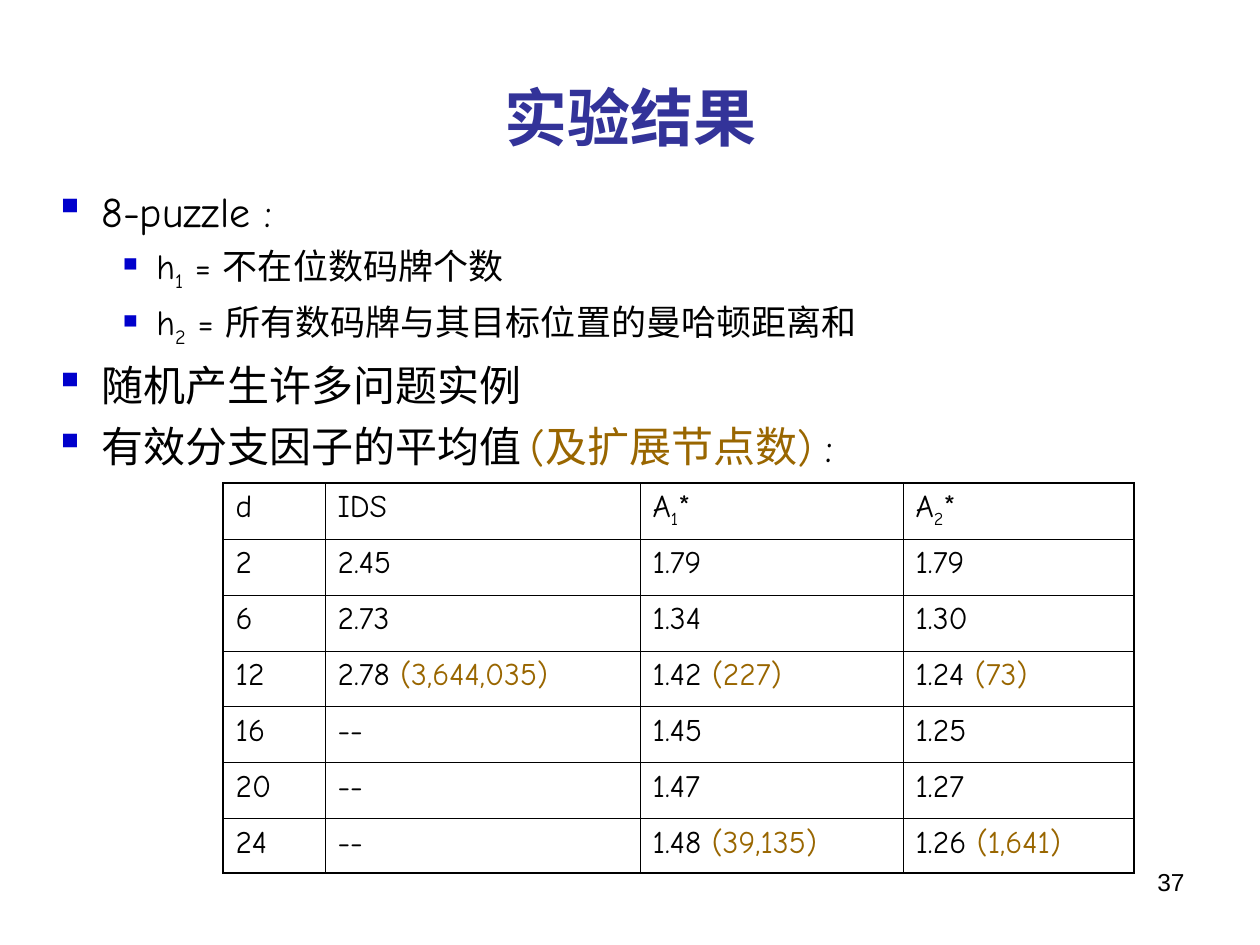
"""Build the slide of search results for the 8-puzzle."""
from typing import NamedTuple

from lxml import etree
from pptx import Presentation, util as u
from pptx.dml.color import RGBColor
from pptx.enum import text as t
from pptx.oxml import ns

HUES = {"ink": "000000", "title": "333399", "mark": "0000CC", "gold": "996600"}
FACE = "Comic Neue"
WIDE, THIN = u.Pt(1.08), u.Pt(0.45)


class Bit(NamedTuple):
    text: str
    hue: str = "ink"
    base: int = 0


class Item(NamedTuple):
    bits: list[Bit]
    level: int = 0


class Rank(NamedTuple):
    size: int
    left: int
    hang: int
    gap: int


RANKS = [Rank(24, 47, 47, 6), Rank(20, 102, 39, 5)]
ITEMS = [
    Item([Bit("8-puzzle :")]),
    Item([Bit("h"), Bit("1", base=-25), Bit(" = 不在位数码牌个数")], 1),
    Item([Bit("h"), Bit("2", base=-25), Bit(" = 所有数码牌与其目标位置的曼哈顿距离和")], 1),
    Item([Bit("随机产生许多问题实例")]),
    Item([Bit("有效分支因子的平均值 "), Bit("(及扩展节点数)", "gold"), Bit(" :")]),
]
HEAD = [[Bit("d")], [Bit("IDS")]] + [
    [Bit("A"), Bit(n, base=-25), Bit("*")] for n in "12"]
DATA = [
    ("2", "2.45", "1.79", "1.79"),
    ("6", "2.73", "1.34", "1.30"),
    ("12", "2.78 (3,644,035)", "1.42 (227)", "1.24 (73)"),
    ("16", "--", "1.45", "1.25"),
    ("20", "--", "1.47", "1.27"),
    ("24", "--", "1.48 (39,135)", "1.26 (1,641)"),
]
COLS = [102, 315, 263, 231]
ROWS = [56] * 6 + [54]


def px(n: int) -> int:
    return round(n * u.Inches(1) / 126)


def box(*sides: int) -> list[int]:
    return [px(n) for n in sides]


def node(host, tag: str, **attrs: str):
    return etree.SubElement(host, ns.qn(tag), attrs)


def write(par, bits: list[Bit], size: int, face: str = FACE, bold: bool = False) -> None:
    for bit in bits:
        run = par.add_run()
        run.text = bit.text
        look = {"name": face, "size": u.Pt(size), "bold": bold}
        for key, val in look.items():
            setattr(run.font, key, val)
        run.font.color.rgb = RGBColor.from_string(HUES[bit.hue])
        if bit.base:
            run.font._element.set("baseline", str(bit.base * 1000))


def bullet(par, item: Item, first: bool) -> None:
    rank = RANKS[item.level]
    par.level = item.level
    if not first:
        par.space_before = u.Pt(rank.gap)
    prop = par._p.get_or_add_pPr()
    prop.set("marL", str(px(rank.left)))
    prop.set("indent", str(-px(rank.hang)))
    node(node(prop, "a:buClr"), "a:srgbClr", val=HUES["mark"])
    node(prop, "a:buChar", char="▪")
    write(par, item.bits, rank.size)


def split(text: str) -> list[Bit]:
    num, mid, tail = text.partition("(")
    return [Bit(num), Bit(mid + tail, "gold")] if mid else [Bit(num)]


def edge(cell, row: int, col: int) -> None:
    prop = cell._tc.get_or_add_tcPr()
    outer = {"a:lnL": col == 0, "a:lnR": col == len(COLS) - 1,
             "a:lnT": row == 0, "a:lnB": row == len(ROWS) - 1}
    for tag, wide in outer.items():
        line = node(prop, tag, w=str(WIDE if wide else THIN))
        node(node(line, "a:solidFill"), "a:srgbClr", val=HUES["ink"])
    cell.fill.background()


def grid(slide) -> None:
    frame = slide.shapes.add_table(
        len(ROWS), len(COLS), *box(223, 483, sum(COLS), sum(ROWS)))
    table = frame.table
    table.first_row = table.horz_banding = False
    for col, wide in zip(table.columns, COLS):
        col.width = px(wide)
    for row, high in zip(table.rows, ROWS):
        row.height = px(high)
    cells = [HEAD] + [[split(text) for text in row] for row in DATA]
    for r, row in enumerate(cells):
        for c, bits in enumerate(row):
            cell = table.cell(r, c)
            write(cell.text_frame.paragraphs[0], bits, 18)
            edge(cell, r, c)


def main() -> None:
    deck = Presentation()
    deck.slide_width, deck.slide_height = box(1260, 945)
    slide = deck.slides.add_slide(deck.slide_layouts[5])

    title = slide.shapes.title
    for key, val in zip(("left", "top", "width", "height"), box(63, 38, 1134, 157)):
        setattr(title, key, val)
    title.text_frame.vertical_anchor = t.MSO_ANCHOR.MIDDLE
    par = title.text_frame.paragraphs[0]
    par.alignment = t.PP_ALIGN.CENTER
    write(par, [Bit("实验结果", "title")], 36, bold=True)

    body = slide.shapes.add_textbox(*box(42, 179, 1176, 624)).text_frame
    body.word_wrap = True
    for i, item in enumerate(ITEMS):
        bullet(body.add_paragraph() if i else body.paragraphs[0], item, i == 0)

    grid(slide)

    page = slide.shapes.add_textbox(*box(903, 861, 294, 66)).text_frame
    page.word_wrap = True
    page.paragraphs[0].alignment = t.PP_ALIGN.RIGHT
    write(page.paragraphs[0], [Bit("37")], 14, "Arial")

    deck.save("out.pptx")


if __name__ == "__main__":
    main()
